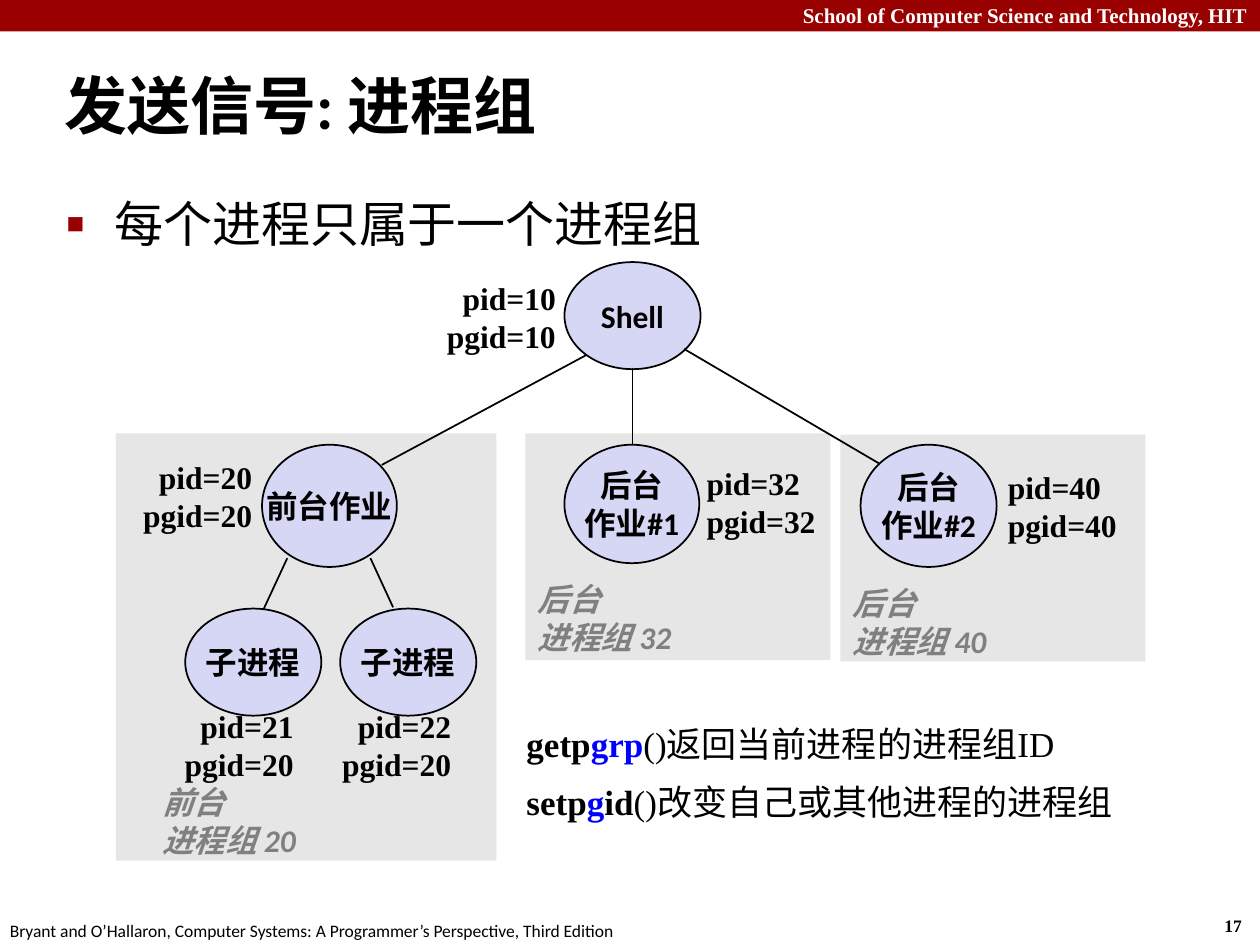
"""Build the process group slide with its process tree."""
from lxml import etree
from pptx import Presentation
from pptx.dml.color import RGBColor
from pptx.enum.shapes import MSO_CONNECTOR, MSO_SHAPE
from pptx.enum.text import MSO_ANCHOR, PP_ALIGN
from pptx.oxml.ns import qn
from pptx.util import Inches, Pt

LEFT, CENTER, RIGHT = PP_ALIGN.LEFT, PP_ALIGN.CENTER, PP_ALIGN.RIGHT
TOP, MIDDLE = MSO_ANCHOR.TOP, MSO_ANCHOR.MIDDLE
RECTANGLE, OVAL = MSO_SHAPE.RECTANGLE, MSO_SHAPE.OVAL
STRAIGHT = MSO_CONNECTOR.STRAIGHT

COLORS = {"red": "990000", "white": "FFFFFF", "black": "000000", "group": "E6E6E6",
          "process": "D6D6F5", "label": "808080", "blue": "0000FF"}
SERIF, SANS = "Times New Roman", "Calibri"

SCHOOL = "School of Computer Science and Technology, HIT"
BOOK = "Bryant and O’Hallaron, Computer Systems: A Programmer’s Perspective, Third Edition"
TITLE = "发送信号: 进程组"
STATEMENT = "每个进程只属于一个进程组"

GROUPS = [(6.67, 3.45, 2.42, 1.8), (4.17, 3.44, 2.42, 1.8), (0.92, 3.44, 3.02, 3.39)]
GROUP_LABELS = [
    ("前台", "进程组 20", (1.19, 6.16, 1.93, 0.71)),
    ("后台", "进程组 32", (4.17, 4.55, 1.27, 0.71)),
    ("后台", "进程组 40", (6.67, 4.58, 1.27, 0.71)),
]
PROCESSES = [
    ("前台作业", (2.08, 3.53, 1.07, 0.97)),
    ("后台\v作业#1", (4.48, 3.53, 1.07, 0.94)),
    ("后台\v作业#2", (6.83, 3.53, 1.08, 0.97)),
    ("Shell", (4.48, 2.08, 1.08, 0.85)),
    ("子进程", (1.47, 4.83, 1.08, 0.85)),
    ("子进程", (2.7, 4.83, 1.08, 0.85)),
]
BRANCHES = [
    (2.28, 4.43, 2.09, 4.84), (2.94, 4.43, 3.12, 4.82), (5.02, 2.92, 5.02, 3.53),
    (4.65, 2.82, 3.03, 3.69), (5.43, 2.77, 6.98, 3.68),
]
PROCESS_IDS = [
    (10, 10, 3.44, 2.16, RIGHT), (20, 20, 1.03, 3.58, RIGHT),
    (32, 32, 5.51, 3.63, LEFT), (40, 40, 7.9, 3.66, LEFT),
    (21, 20, 1.36, 5.56, RIGHT), (22, 20, 2.61, 5.56, RIGHT),
]
FUNCTIONS = [
    [("getp", {}), ("grp", {"color": "blue"}), ("()返回当前进程的进程组ID", {"bold": False})],
    [("setp", {}), ("g", {"color": "blue"}), ("id", {}),
     ("()改变自己或其他进程的进程组", {"bold": False})],
]


def rgb(name):
    return RGBColor.from_string(COLORS[name])


def write(shape, paragraphs, size=18, font=SERIF, color="black", bold=True, italic=False,
          align=LEFT, anchor=TOP, wrap=True, line_spacing=None, space_before=None):
    frame = shape.text_frame
    frame.word_wrap = wrap
    frame.vertical_anchor = anchor
    for index, runs in enumerate(paragraphs):
        paragraph = frame.add_paragraph() if index else frame.paragraphs[0]
        paragraph.alignment = align
        paragraph.line_spacing = line_spacing
        paragraph.space_before = space_before
        for text, changes in [(runs, {})] if isinstance(runs, str) else runs:
            for part_index, part in enumerate(text.split("\v")):
                if part_index:
                    paragraph.add_line_break()
                run = paragraph.add_run()
                run.text = part
                run.font.name = font
                run.font.size = Pt(size)
                run.font.bold = changes.get("bold", bold)
                run.font.italic = italic
                run.font.color.rgb = rgb(changes.get("color", color))
    return shape


def add_text(slide, box, paragraphs, **style):
    return write(slide.shapes.add_textbox(*map(Inches, box)), paragraphs, **style)


def add_shape(slide, kind, box, fill, line=None):
    shape = slide.shapes.add_shape(kind, *map(Inches, box))
    shape.shadow.inherit = False
    shape.fill.solid()
    shape.fill.fore_color.rgb = rgb(fill)
    if line:
        shape.line.color.rgb = rgb(line)
        shape.line.width = Pt(1)
    else:
        shape.line.fill.background()
    return shape


def add_branch(slide, ends):
    branch = slide.shapes.add_connector(STRAIGHT, *map(Inches, ends))
    branch.line.color.rgb = rgb("black")
    branch.line.width = Pt(1)
    etree.SubElement(branch._element.spPr, qn("a:effectLst"))


def add_bullet(paragraph):
    properties = paragraph._p.get_or_add_pPr()
    properties.set("marL", str(Inches(0.38)))
    properties.set("indent", str(-Inches(0.38)))
    color = etree.SubElement(properties, qn("a:buClr"))
    etree.SubElement(color, qn("a:srgbClr"), val=COLORS["red"])
    etree.SubElement(properties, qn("a:buSzPct"), val="60000")
    etree.SubElement(properties, qn("a:buFont"), typeface=SERIF)
    etree.SubElement(properties, qn("a:buChar"), char="■")


presentation = Presentation()
presentation.slide_width, presentation.slide_height = Inches(10), Inches(7.5)
slide = presentation.slides.add_slide(presentation.slide_layouts[6])

add_shape(slide, RECTANGLE, (0, 0, 10, 0.25), "red")
add_text(slide, (0, -0.03, 10, 0.3), [SCHOOL], size=12, color="white", align=RIGHT)
add_text(slide, (-0.02, 7.25, 5.08, 0.27), [BOOK], size=10, font=SANS, bold=False, wrap=False)
add_text(slide, (9.62, 7.21, 0.37, 0.27), ["17"], size=10, wrap=False)

for box in GROUPS:
    add_shape(slide, RECTANGLE, box, "group")

statement = add_text(slide, (0.43, 1.49, 9.4, 0.6), [STATEMENT], size=28, bold=False)
add_bullet(statement.text_frame.paragraphs[0])
add_text(slide, (0.41, 0.41, 9.51, 0.83), [TITLE], size=36, font=SANS, anchor=MIDDLE)

for name, box in PROCESSES:
    process = add_shape(slide, OVAL, box, "process", line="black")
    write(process, [name], font=SANS, align=CENTER, anchor=MIDDLE, wrap=False)

for ends in BRANCHES:
    add_branch(slide, ends)

for kind, group, box in GROUP_LABELS:
    add_text(slide, box, [kind, group], font=SANS, color="label", italic=True, anchor=MIDDLE)

for pid, pgid, left, top, align in PROCESS_IDS:
    add_text(slide, (left, top, 1.07, 0.71), [f"pid={pid}", f"pgid={pgid}"],
             align=align, anchor=MIDDLE, wrap=False)

add_text(slide, (4.08, 5.71, 5.58, 0.91), FUNCTIONS, size=20,
         line_spacing=0.95, space_before=Pt(10))

presentation.save("out.pptx")
